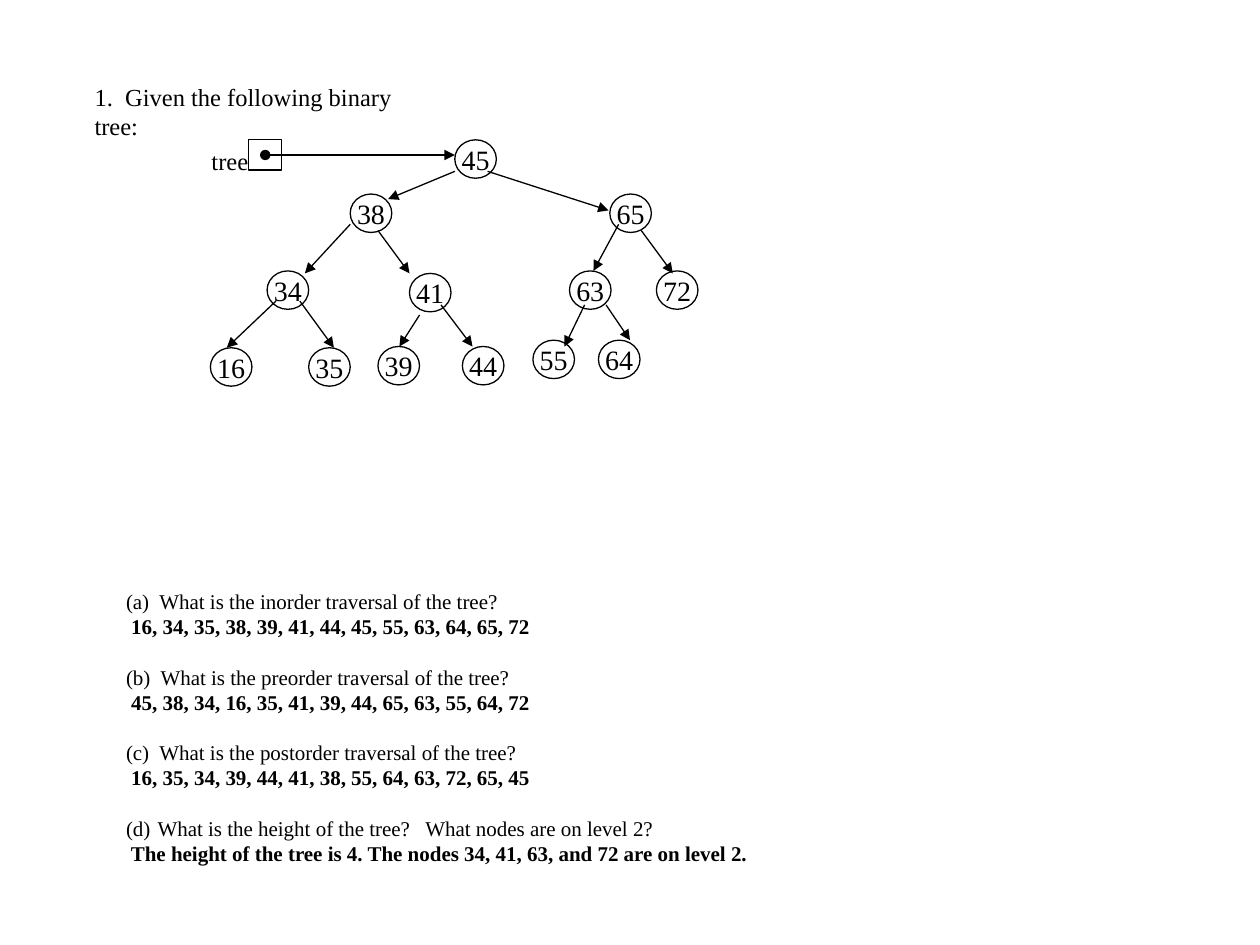
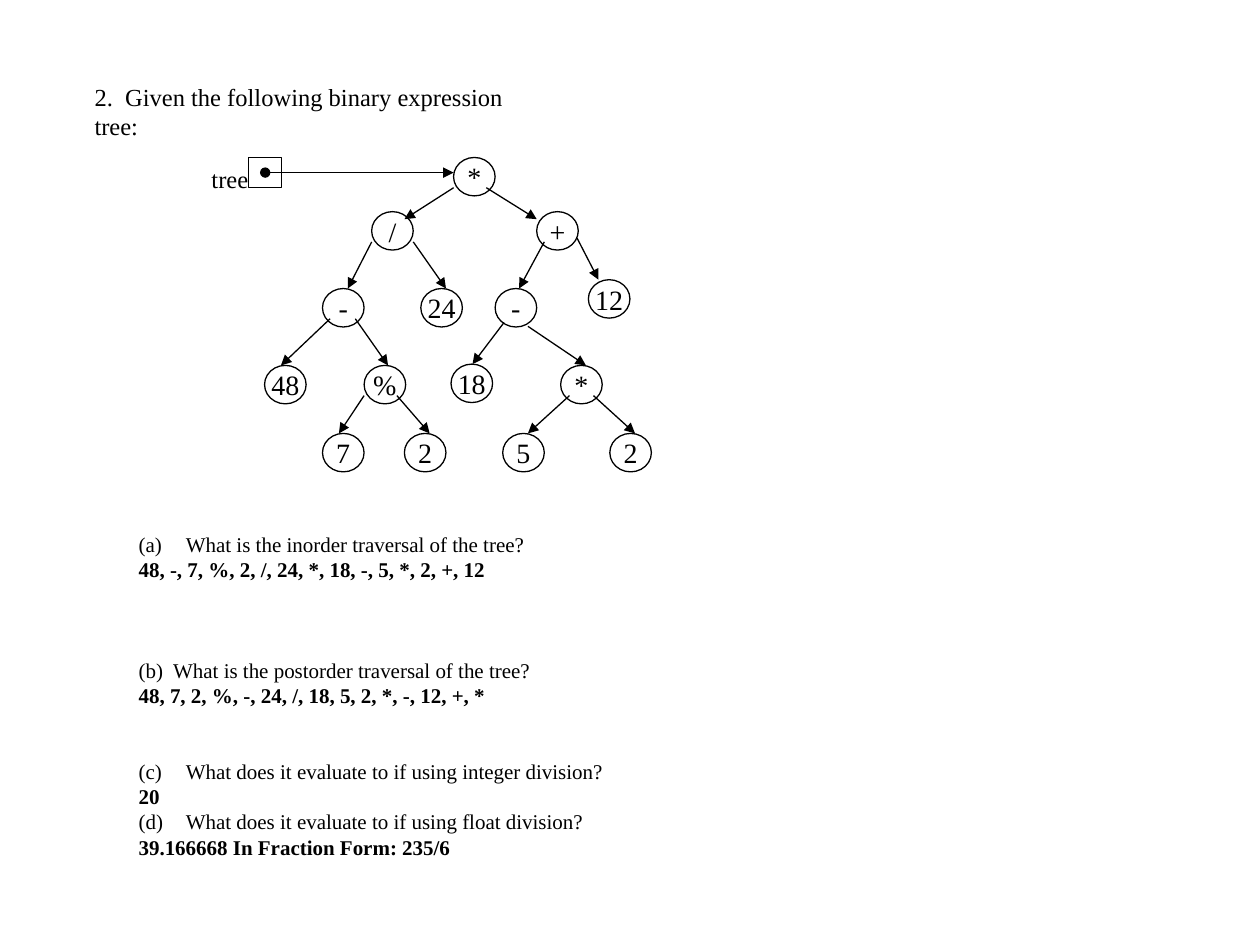
from lxml import etree
from pptx import Presentation, util as u
from pptx.dml.color import RGBColor
from pptx.enum import shapes, text
from pptx.oxml import ns

COLUMNS, ROWS = 100, 75  # the slide's grid
NODE_SIZE = (3.3, 3.05)
BOX_SIZE = (2.6, 2.4)

# Each node: label, left, top, start and end of the arrow that leads to it
SEARCH_TREE = [
    ("45", 36.1, 11.1, None, None),
    ("38", 27.8, 15.4, (36.1, 13.6), (30.8, 15.8)),
    ("65", 48.4, 15.4, (38.7, 13.6), (48.3, 16.7)),
    ("34", 21.2, 21.5, (27.8, 17.8), (24.2, 21.7)),
    ("41", 32.5, 21.7, (30, 18.3), (32.5, 21.7)),
    ("63", 45.2, 21.5, (49.1, 17.8), (47.1, 21.5)),
    ("72", 52.1, 21.5, (50.9, 18.3), (53.4, 21.7)),
    ("16", 16.7, 27.6, (21.9, 23.9), (18, 27.6)),
    ("35", 24.5, 27.6, (23.8, 23.9), (26.5, 27.6)),
    ("39", 30, 27.5, (33.3, 25), (31.7, 27.5)),
    ("44", 36.7, 27.5, (35, 24.2), (37.5, 27.5)),
    ("55", 42.3, 27, (46.4, 24.2), (44.8, 27.5)),
    ("64", 47.5, 27, (48.1, 24.2), (50, 27)),
]
EXPRESSION_TREE = [
    ("*", 36, 12.5, None, None),
    ("/", 29.5, 16.8, (36, 14.9), (32.1, 17.4)),
    ("+", 42.6, 16.8, (38.6, 14.9), (42.6, 17.4)),
    ("-", 25.6, 22.9, (29.5, 19.2), (27.6, 22.9)),
    ("24", 33.4, 22.9, (32.8, 19.2), (35.4, 22.9)),
    ("-", 39.3, 22.9, (43.2, 19.2), (41.2, 22.9)),
    ("12", 46.7, 22.2, (45.8, 18.9), (47.5, 22.2)),
    ("48", 21, 29, (26.2, 25.3), (22.3, 29)),
    ("%", 28.9, 29, (28.2, 25.3), (30.8, 29)),
    ("18", 35.8, 28.9, (40, 25.6), (37.5, 28.9)),
    ("*", 44.5, 29, (41.9, 25.9), (46.5, 29)),
    ("7", 25.6, 34.4, (28.9, 31.4), (26.9, 34.4)),
    ("2", 32.1, 34.4, (31.5, 31.4), (34.1, 34.4)),
    ("5", 39.9, 34.4, (45.2, 31.4), (41.9, 34.4)),
    ("2", 48.4, 34.4, (47.1, 31.4), (50.4, 34.4)),
]

# Each item: question, answer, empty lines above, number and its indent (if automatic)
SEARCH_QUESTIONS = [
    ("(a)  What is the inorder traversal of the tree?",
     " 16, 34, 35, 38, 39, 41, 44, 45, 55, 63, 64, 65, 72", 0, None, 0),
    ("(b)  What is the preorder traversal of the tree?",
     " 45, 38, 34, 16, 35, 41, 39, 44, 65, 63, 55, 64, 72", 1, None, 0),
    ("(c)  What is the postorder traversal of the tree?",
     " 16, 35, 34, 39, 44, 41, 38, 55, 64, 63, 72, 65, 45", 1, None, 0),
    ("What is the height of the tree?   What nodes are on level 2?",
     " The height of the tree is 4. The nodes 34, 41, 63, and 72 are on level 2.", 1, 4, 2.5),
]
EXPRESSION_QUESTIONS = [
    ("What is the inorder traversal of the tree?",
     "48, -, 7, %, 2, /, 24, *, 18, -, 5, *, 2, +, 12", 0, 1, 3.75),
    ("(b)  What is the postorder traversal of the tree?",
     "48, 7, 2, %, -, 24, /, 18, 5, 2, *, -, 12, +, *", 3, None, 0),
    ("What does it evaluate to if using integer division?", "20", 2, 3, 3.75),
    ("What does it evaluate to if using float division?",
     "39.166668 In Fraction Form: 235/6", 0, 4, 3.75),
]


def color(hex_string):
    return RGBColor.from_string(hex_string)


class Deck:
    ink = "000000"
    font = "Times New Roman"
    title_size, body_size, node_size = 14, 12, 16
    line_width = u.Pt(0.75)
    leading = 1.2

    def __init__(self):
        self.presentation = Presentation()
        self.presentation.slide_width = u.Inches(10)
        self.presentation.slide_height = u.Inches(7.5)

    def x(self, columns):
        return round(self.presentation.slide_width * columns / COLUMNS)

    def y(self, rows):
        return round(self.presentation.slide_height * rows / ROWS)

    def area(self, left, top, width, height):
        return self.x(left), self.y(top), self.x(width), self.y(height)

    def add_slide(self):
        self.slide = self.presentation.slides.add_slide(self.presentation.slide_layouts[1])

    def start_drawing(self):
        self.drawing = self.slide.shapes.add_group_shape().shapes

    def place(self, shape, *area):
        shape.left, shape.top, shape.width, shape.height = self.area(*area)
        self.set_frame(shape.text_frame, text.MSO_ANCHOR.TOP, True)

    def set_frame(self, frame, anchor, wrap):
        frame.auto_size = text.MSO_AUTO_SIZE.NONE
        frame.vertical_anchor = anchor
        frame.word_wrap = wrap

    def set_text(self, paragraph, words, size, bold=False, align=text.PP_ALIGN.LEFT, lines_above=0):
        paragraph.text = words
        paragraph.alignment = align
        paragraph.line_spacing = u.Pt(size * self.leading)
        paragraph.space_before = u.Pt(size * self.leading * lines_above)
        paragraph.font.name = self.font
        paragraph.font.size = u.Pt(size)
        paragraph.font.bold = bold
        paragraph.font.color.rgb = color(self.ink)

    def set_number(self, paragraph, number, indent):
        """Number the paragraph as (a), (b), ..., or clear its bullet."""
        properties = paragraph._p.get_or_add_pPr()
        properties.set("marL", str(self.x(indent)))
        properties.set("indent", str(-self.x(indent)))
        bullet = etree.Element(ns.qn("a:buAutoNum" if number else "a:buNone"))
        if number:
            bullet.set("type", "alphaLcParenBoth")
            bullet.set("startAt", str(number))
        properties.find(ns.qn("a:defRPr")).addprevious(bullet)

    def title(self, words, width):
        shape = self.slide.shapes.title
        self.place(shape, 6.5, 6, width, 5.8)
        self.set_text(shape.text_frame.paragraphs[0], words, self.title_size)

    def questions(self, items, *area):
        shape = self.slide.placeholders[1]
        self.place(shape, *area)
        frame = shape.text_frame
        paragraph = frame.paragraphs[0]
        for position, (question, answer, lines_above, number, indent) in enumerate(items):
            if position:
                paragraph = frame.add_paragraph()
            self.set_text(paragraph, question, self.body_size, lines_above=lines_above)
            self.set_number(paragraph, number, indent)
            paragraph = frame.add_paragraph()
            self.set_text(paragraph, answer, self.body_size, bold=True)
            self.set_number(paragraph, None, 0)

    def outline(self, kind, *area):
        shape = self.drawing.add_shape(kind, *self.area(*area))
        shape.shadow.inherit = False
        shape.fill.background()
        shape.line.color.rgb = color(self.ink)
        shape.line.width = self.line_width
        return shape

    def node(self, label, left, top):
        frame = self.outline(shapes.MSO_SHAPE.OVAL, left, top, *NODE_SIZE).text_frame
        self.set_frame(frame, text.MSO_ANCHOR.MIDDLE, False)
        self.set_text(frame.paragraphs[0], label, self.node_size, align=text.PP_ALIGN.CENTER)

    def arrow(self, start, end, head=None):
        connector = self.drawing.add_connector(
            shapes.MSO_CONNECTOR.STRAIGHT,
            self.x(start[0]), self.y(start[1]), self.x(end[0]), self.y(end[1]))
        connector.line.color.rgb = color(self.ink)
        connector.line.width = self.line_width
        line = connector.line._get_or_add_ln()
        if head:
            etree.SubElement(line, ns.qn("a:headEnd"), type=head)
        etree.SubElement(line, ns.qn("a:tailEnd"), type="triangle")
        etree.SubElement(connector._element.spPr, ns.qn("a:effectLst"))

    def label(self, words, *area):
        frame = self.drawing.add_textbox(*self.area(*area)).text_frame
        self.set_frame(frame, text.MSO_ANCHOR.TOP, False)
        self.set_text(frame.paragraphs[0], words, self.title_size)

    def tree(self, nodes):
        self.start_drawing()
        for label, left, top, start, end in nodes:
            self.node(label, left, top)
            if start:
                self.arrow(start, end)
        # The pointer to the root
        _, root_left, root_top, _, _ = nodes[0]
        box_left, middle = 19.75, root_top + BOX_SIZE[1] / 2
        self.outline(shapes.MSO_SHAPE.RECTANGLE, box_left, root_top, *BOX_SIZE)
        self.label("tree", 15.8, root_top, 4.9, 3.3)
        self.arrow((box_left + BOX_SIZE[0] / 2, middle), (root_left, middle), head="oval")


def main():
    deck = Deck()

    # Binary search tree
    deck.add_slide()
    deck.title("1.  Given the following binary tree:", 29.5)
    deck.questions(SEARCH_QUESTIONS, 9, 46.2, 73.1, 23.2)
    deck.tree(SEARCH_TREE)

    # Binary expression tree
    deck.add_slide()
    deck.title("2.  Given the following binary expression tree:", 38.3)
    deck.questions(EXPRESSION_QUESTIONS, 10, 41.7, 39.4, 29.3)
    deck.tree(EXPRESSION_TREE)

    deck.presentation.save("out.pptx")


if __name__ == "__main__":
    main()
